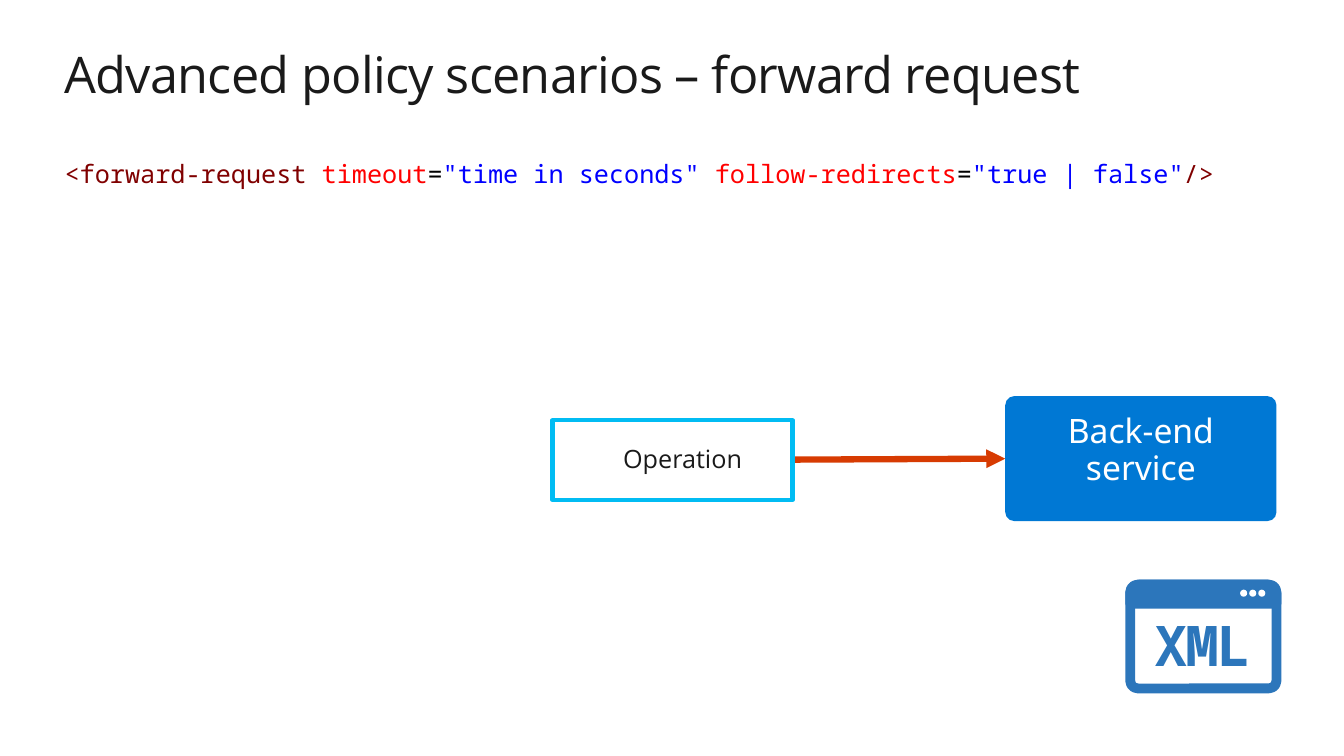
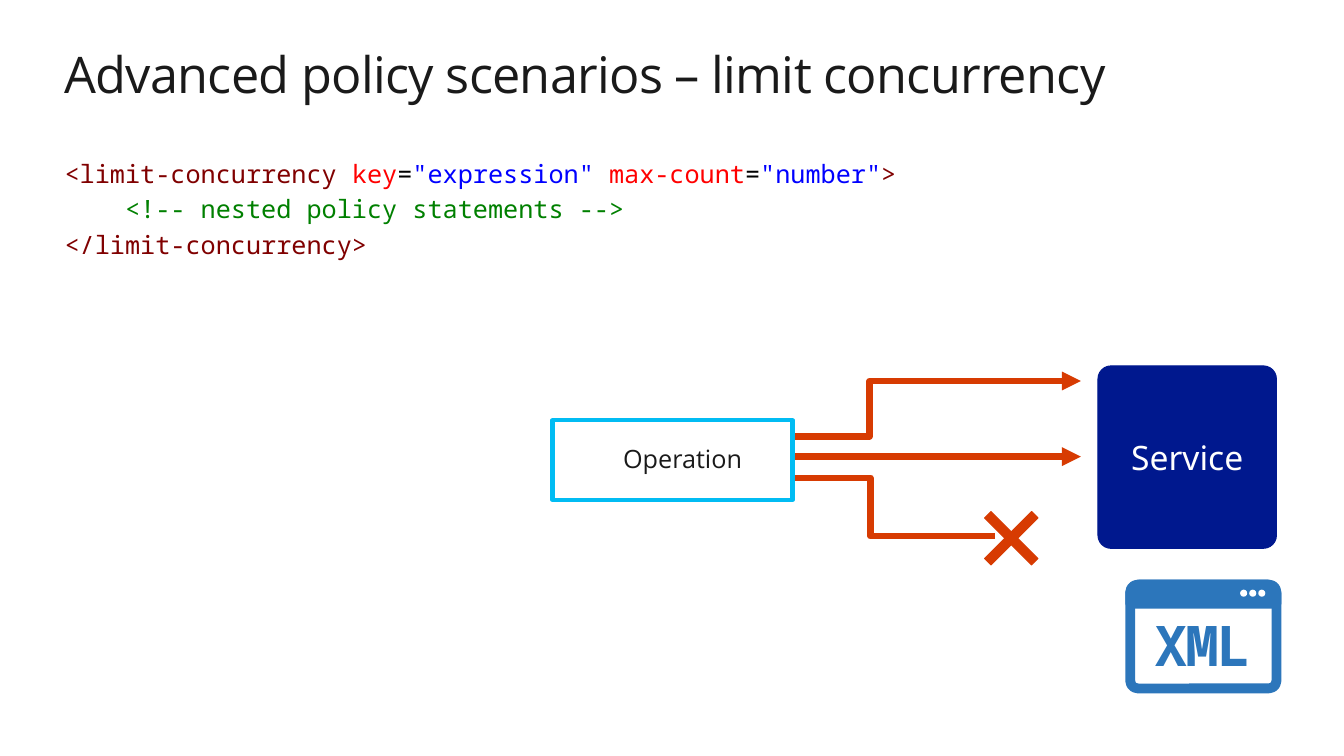
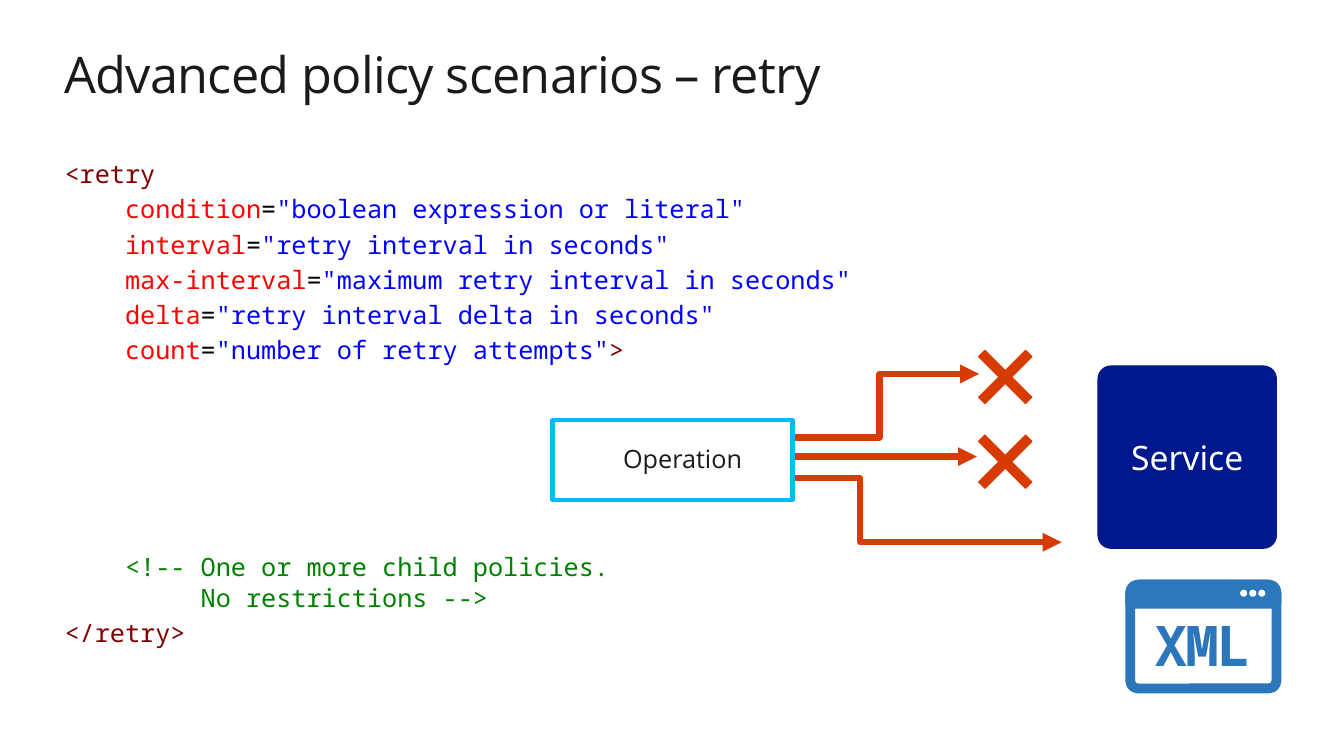
from dataclasses import dataclass, field
from pptx import Presentation
from pptx import util as u
from pptx.dml.color import RGBColor
from pptx.enum import shapes, text
from pptx.oxml.ns import qn
from lxml import etree


@dataclass(frozen=True)
class Theme:
    ink: str = "1A1A1A"
    paper: str = "FFFFFF"
    tag: str = "800000"
    name: str = "FF0000"
    equals: str = "000000"
    value: str = "0000FF"
    note: str = "008000"
    backend: str = "0078D4"
    service: str = "00188E"
    operation: str = "01BCF3"
    flow: str = "D73B02"
    badge: str = "2C76BB"
    head_font: str = "Open Sans"
    body_font: str = "Noto Sans"
    code_font: str = "Noto Sans Mono"
    title: int = 36
    badge_text: int = 40
    label: int = 24
    code: int = 18
    leading: float = 0.9
    code_leading: float = 21.6
    code_gap: float = 3.6


@dataclass
class Line:
    """One line of markup: tag, attributes, closing mark, or a note."""
    tag: str = ""
    attributes: list = field(default_factory=list)
    end: str = ""
    note: str = ""
    indent: int = 0
    gap: float = Theme.code_gap


theme = Theme()
kinds = shapes.MSO_SHAPE
GRID = u.Inches(1)                     # one grid square
CHAR = 0.15                            # width of one code character
LEFT, CONTENT = 0.64, 12.05            # margin and text width
RIGHT = 12.66                          # right edge of the drawings

deck = Presentation()
deck.slide_width, deck.slide_height = int(13.33 * GRID), int(7.5 * GRID)


def put(page, kind, area, fill=None, line=None, weight=0.75, adjust=(), turn=0):
    """Place a preset shape, with area in grid squares."""
    shape = page.shapes.add_shape(kind, *(int(n * GRID) for n in area))
    shape.shadow.inherit = False
    shape.rotation = turn
    for place, amount in enumerate(adjust):
        shape.adjustments[place] = amount
    for part, color in ((shape.fill, fill), (shape.line.fill, line)):
        if color:
            part.solid()
            part.fore_color.rgb = RGBColor.from_string(color)
        else:
            part.background()
    if line:
        shape.line.width = u.Pt(weight)
    return shape


def write(box, paras, font=theme.body_font, size=theme.label, color=theme.ink,
          align="LEFT", anchor="TOP", insets=(0, 0, 0, 0), leading=theme.leading,
          spacing=0, bold=False):
    """Fill a box from (spans, indent, gap) paragraphs; a span is (text, color)."""
    frame = box.text_frame
    frame.word_wrap = True
    frame.vertical_anchor = text.MSO_ANCHOR[anchor]
    (frame.margin_left, frame.margin_top,
     frame.margin_right, frame.margin_bottom) = (int(n * GRID) for n in insets)
    if isinstance(paras, str):
        paras = [([(paras, color)], 0, 0)]
    for number, (spans, indent, gap) in enumerate(paras):
        para = frame.add_paragraph() if number else frame.paragraphs[0]
        para.alignment = text.PP_ALIGN[align]
        para.line_spacing = leading
        para.space_before = u.Pt(gap)
        para._p.get_or_add_pPr().set("marL", str(int(indent * GRID)))
        for words, shade in spans:
            span = para.add_run()
            span.text = words
            span.font.name, span.font.size, span.font.bold = font, u.Pt(size), bold
            span.font.color.rgb = RGBColor.from_string(shade)
            if spacing:
                span._r.get_or_add_rPr().set("spc", str(int(spacing * 100)))


# Slide content: flows are (start, end, bend share or None, arrowhead)
BACKEND = dict(area=(9.97, 3.93, 2.69, 1.24), label="Back-end service",
               fill=theme.backend, line=None, insets=(0.2, 0.16, 0.2, 0.16))
SERVICE = dict(area=(10.89, 3.63, 1.77, 1.81), label="Service",
               fill=theme.service, line=theme.service, insets=(0, 0.71, 0, 0))
START = 6.53
slides = [
    dict(title="forward request", target=BACKEND, crosses=[],
         flows=[((7.86, 4.56), (9.97, 4.55), None, True)],
         code=[Line("<forward-request", [("timeout", "time in seconds"),
                                         ("follow-redirects", "true | false")], "/>")]),
    dict(title="limit concurrency", target=SERVICE, crosses=[(10.03, 5.34)],
         flows=[((START, 4.33), (10.72, 3.78), 0.5, True),
                ((START, 4.74), (9.87, 5.32), 0.63, False),
                ((START, 4.53), (10.72, 4.53), None, True)],
         code=[Line("<limit-concurrency", [("key", "expression"),
                                           ("max-count", "number")], ">"),
               Line(note="<!-- nested policy statements -->", indent=4),
               Line("</limit-concurrency>")]),
    dict(title="retry", target=SERVICE, crosses=[(9.97, 4.58), (9.97, 3.74)],
         flows=[((START, 4.34), (9.71, 3.71), 0.69, True),
                ((START, 4.74), (10.53, 5.38), 0.5, True),
                ((START, 4.53), (9.69, 4.53), None, True)],
         code=[Line("<retry"),
               Line("", [("condition", "boolean expression or literal")], indent=4),
               Line("", [("interval", "retry interval in seconds")], indent=4),
               Line("", [("max-interval", "maximum retry interval in seconds")], indent=4),
               Line("", [("delta", "retry interval delta in seconds")], indent=4),
               Line("", [("count", "number of retry attempts")], ">", indent=4),
               Line(note="<!-- One or more child policies.", indent=4, gap=133.4),
               Line(note="No restrictions -->", indent=9, gap=0),
               Line("</retry>")]),
]

for content in slides:
    page = deck.slides.add_slide(deck.slide_layouts[6])

    # XML window badge
    left, top, width = 11.21, 5.8, 1.45
    put(page, kinds.ROUNDED_RECTANGLE, (left, top, width, 1.03),
        theme.paper, theme.badge, 7, [0.072])
    put(page, kinds.ROUND_2_SAME_RECTANGLE, (left, top, width, 0.19),
        theme.badge, theme.badge, 7, [0.45, 0])
    for dot in range(3):
        put(page, kinds.OVAL, (12.3 + dot * 0.09, 5.85, 0.07, 0.07), theme.paper)
    write(put(page, kinds.RECTANGLE, (left, 5.98, 1.43, 0.83)), "XML",
          font=theme.code_font, size=theme.badge_text, color=theme.badge,
          align="CENTER", anchor="MIDDLE", leading=1.0, spacing=-1.5, bold=True)

    # Title
    title = page.shapes.add_textbox(*(int(n * GRID) for n in (LEFT, 0.5, CONTENT, 0.61)))
    write(title, "Advanced policy scenarios – " + content["title"],
          font=theme.head_font, size=theme.title, spacing=-0.5)

    # Markup, coloured by the role of each span
    paras = []
    for line in content["code"]:
        spans = [(line.tag, theme.tag), (line.note, theme.note)]
        for name, value in line.attributes:
            lead = " " if line.tag else ""
            spans += [(lead + name, theme.name), ("=", theme.equals),
                      (f'"{value}"', theme.value)]
        spans.append((line.end, theme.tag))
        paras.append(([span for span in spans if span[0]], line.indent * CHAR, line.gap))
    code = page.shapes.add_textbox(*(int(n * GRID) for n in (LEFT, 1.57, CONTENT, 2.09)))
    write(code, paras, font=theme.code_font, size=theme.code,
          leading=u.Pt(theme.code_leading))

    # Target service
    target = content["target"]
    write(put(page, kinds.ROUNDED_RECTANGLE, target["area"], target["fill"],
              target["line"], adjust=[0.073]),
          target["label"], color=theme.paper, align="CENTER", insets=target["insets"])

    # Request flows
    for start, end, bend, arrow in content["flows"]:
        route = shapes.MSO_CONNECTOR.ELBOW if bend else shapes.MSO_CONNECTOR.STRAIGHT
        flow = page.shapes.add_connector(route, *(int(n * GRID) for n in start + end))
        flow.line.color.rgb = RGBColor.from_string(theme.flow)
        flow.line.width = u.Pt(4.5)
        properties = flow._element.spPr
        etree.SubElement(properties, qn("a:effectLst"))
        if arrow:
            etree.SubElement(flow.line._get_or_add_ln(), qn("a:tailEnd"), type="triangle")
        if bend:
            guides = properties.find(qn("a:prstGeom")).get_or_add_avLst()
            etree.SubElement(guides, qn("a:gd"), name="adj1",
                             fmla=f"val {round(bend * 100000)}")

    # Crosses on the refused requests
    for across, down in content["crosses"]:
        for turn in (315, 45):
            put(page, kinds.RECTANGLE, (across - 0.045, down - 0.33, 0.09, 0.66),
                theme.flow, theme.flow, turn=turn)

    # Operation
    operation = put(page, kinds.RECTANGLE, (5.48, 4.17, 2.38, 0.79),
                    theme.paper, theme.operation, 3)
    write(operation, [([("Operation", theme.ink)], 0.5, 0)], font=theme.head_font,
          size=theme.code, anchor="MIDDLE", insets=(0.2, 0.16, 0.2, 0.16))

deck.save("out.pptx")
